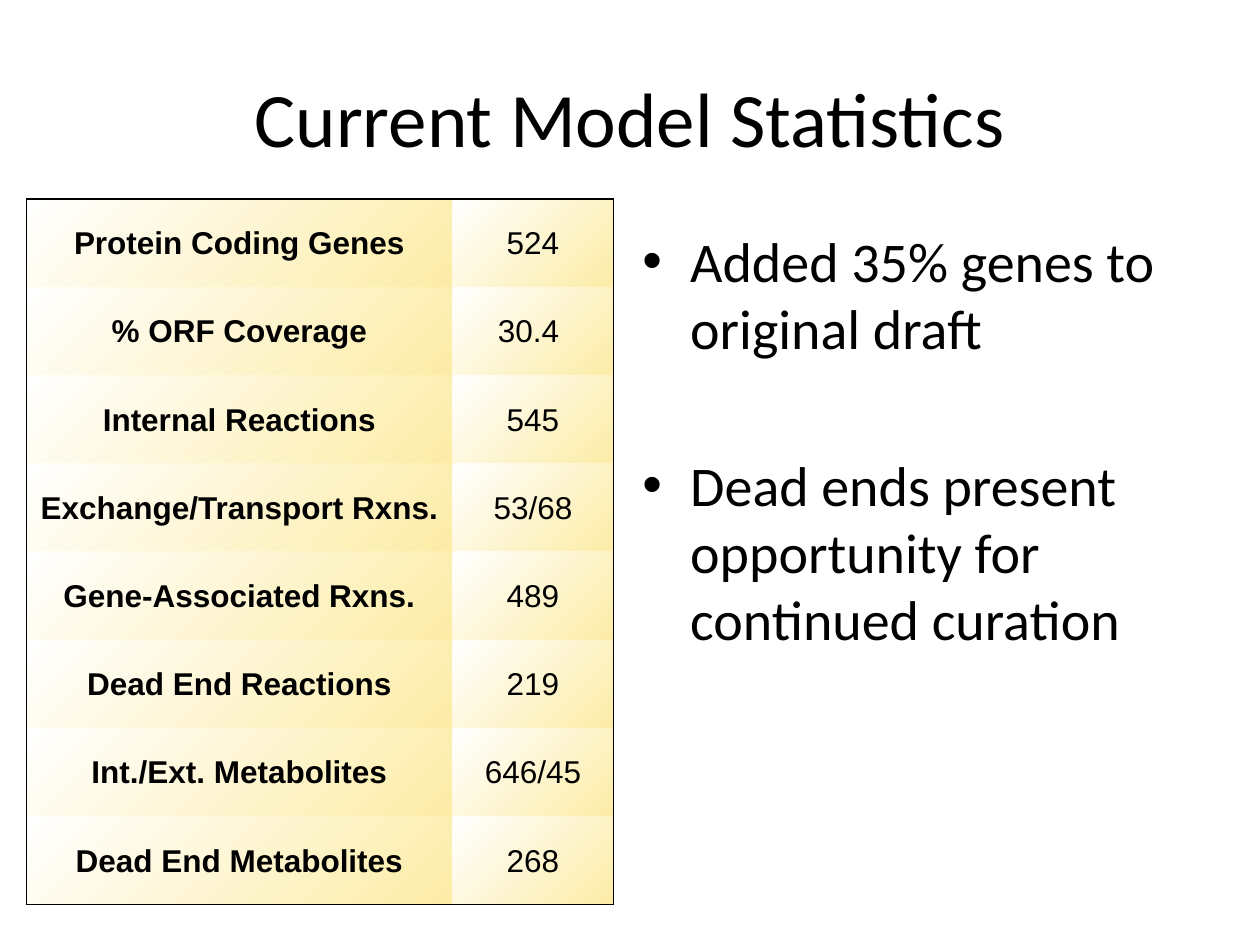
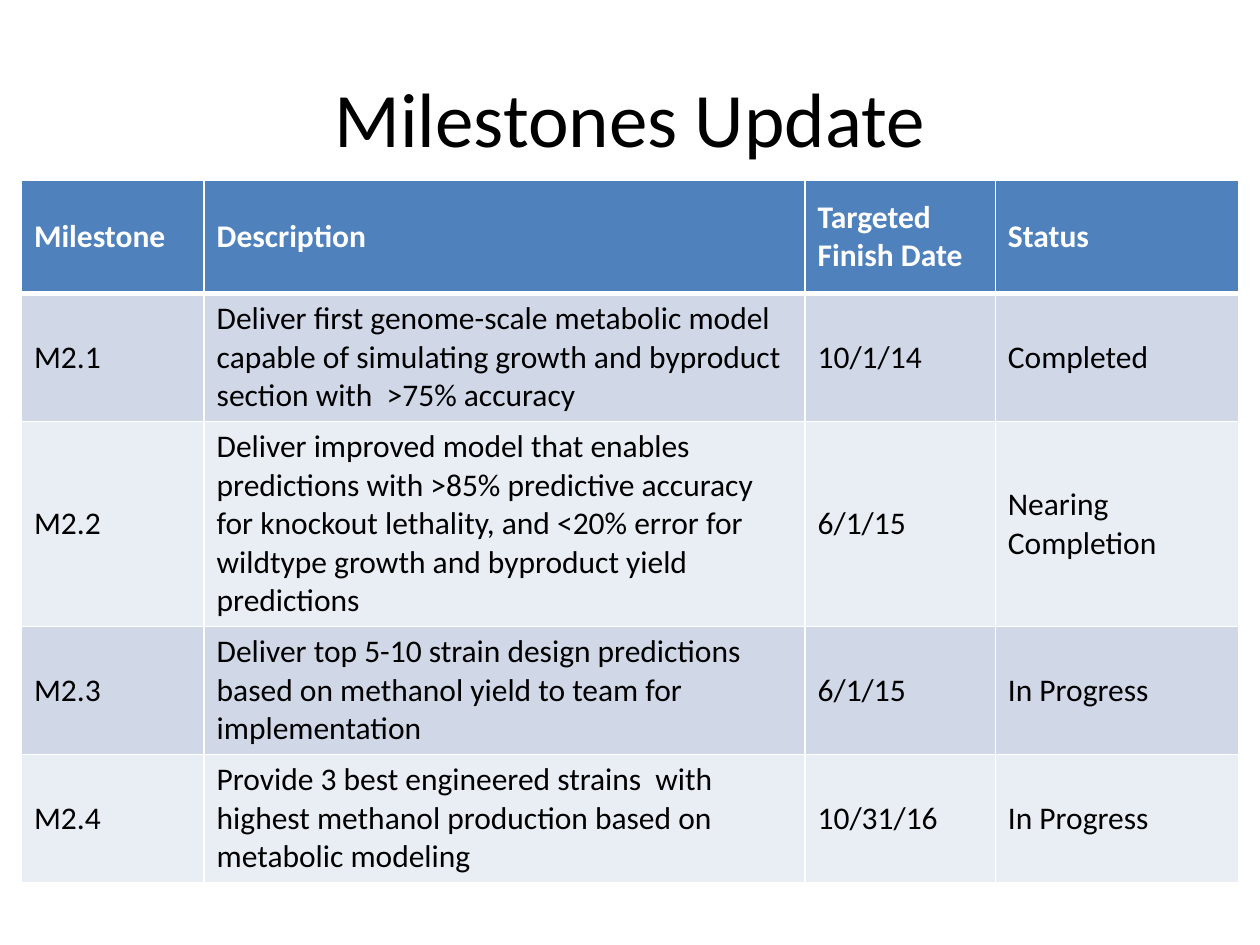
"""Build the model statistics and milestones slides."""
from dataclasses import dataclass, field
from typing import Optional

from pptx import Presentation
from pptx.dml.color import RGBColor
from pptx.enum import text as t
from pptx.oxml import parse_xml
from pptx.oxml.ns import nsdecls
from pptx.util import Inches, Pt


@dataclass(frozen=True)
class Theme:
    black: str = "000000"
    white: str = "FFFFFF"
    gold: str = "FCECA6"
    header: str = "4F81BD"
    bands: tuple = ("D0D8E8", "E9EDF4")
    body_font: str = "Calibri"
    table_font: str = "Arial"
    title_size: float = 44
    bullet_size: float = 32
    table_size: float = 18


@dataclass(frozen=True)
class Box:
    left: float
    top: float
    width: float
    height: float

    def inches(self) -> tuple:
        return tuple(Inches(v) for v in (self.left, self.top, self.width, self.height))


@dataclass(frozen=True)
class CellStyle:
    """Fill colour (None is the gold gradient), text format, margins and border points."""
    fill: Optional[str] = None
    text_format: dict = field(default_factory=dict)
    margins: Optional[tuple] = None
    line_color: str = "FFFFFF"
    borders: dict = field(default_factory=dict)


THEME = Theme()
TITLE_BOX = Box(0.5, 0.3, 9, 1.25)
BULLET_BOX = Box(5, 1.75, 4.5, 4.95)
STATISTICS_BOX = Box(0.21, 1.58, 4.66, 5.6)
MILESTONES_BOX = Box(0.17, 1.43, 9.66, 5.45)

STATISTICS = [
    ("Protein Coding Genes", "524"),
    ("% ORF Coverage", "30.4 "),
    ("Internal Reactions", "545"),
    ("Exchange/Transport Rxns.", "53/68"),
    ("Gene-Associated Rxns.", "489"),
    ("Dead End Reactions", "219"),
    ("Int./Ext. Metabolites", "646/45"),
    ("Dead End Metabolites", "268"),
]
BULLETS = [
    ("Added 35% genes to original draft", 0),
    ("Dead ends present opportunity for continued curation", 51),
]
MILESTONES = [
    ("Milestone", "Description", "Targeted Finish Date", "Status"),
    ("M2.1", "Deliver first genome-scale metabolic model capable of simulating growth "
     "and byproduct section with  >75% accuracy", "10/1/14", "Completed"),
    ("M2.2", "Deliver improved model that enables predictions with >85% predictive "
     "accuracy for knockout lethality, and <20% error for wildtype growth and "
     "byproduct yield predictions", "6/1/15", "Nearing Completion"),
    ("M2.3", "Deliver top 5-10 strain design predictions based on methanol yield to "
     "team for implementation", "6/1/15", "In Progress"),
    ("M2.4", "Provide 3 best engineered strains  with highest methanol production "
     "based on metabolic modeling", "10/31/16", "In Progress"),
]


def write_text(paragraph, text: str, *, size: float, font: str = THEME.body_font,
               color: str = THEME.black, bold: bool = False,
               align=t.PP_ALIGN.LEFT, space_before: float = 0) -> None:
    """Put one formatted run in a paragraph."""
    paragraph.alignment = align
    paragraph.space_before = Pt(space_before)
    run = paragraph.add_run()
    run.text = text
    run.font.name = font
    run.font.size = Pt(size)
    run.font.bold = bold
    run.font.color.rgb = RGBColor.from_string(color)


def add_bullet(paragraph, indent: float) -> None:
    """Give a paragraph a hanging round bullet."""
    properties = paragraph._p.get_or_add_pPr()
    properties.set("marL", str(Inches(indent)))
    properties.set("indent", str(-Inches(indent)))
    properties.append(parse_xml(f'<a:buFont {nsdecls("a")} typeface="Arial"/>'))
    properties.append(parse_xml(f'<a:buChar {nsdecls("a")} char="•"/>'))


def add_titled_slide(presentation, title: str):
    """Add a title-only slide with the shared title format."""
    slide = presentation.slides.add_slide(presentation.slide_layouts[5])
    shape = slide.shapes.title
    shape.left, shape.top, shape.width, shape.height = TITLE_BOX.inches()
    frame = shape.text_frame
    frame.word_wrap = True
    frame.vertical_anchor = t.MSO_ANCHOR.MIDDLE
    write_text(frame.paragraphs[0], title, size=THEME.title_size, align=t.PP_ALIGN.CENTER)
    return slide


def format_cell(cell, text: str, style: CellStyle) -> None:
    """Write a table cell with its margins, borders and fill."""
    cell.vertical_anchor = t.MSO_ANCHOR.MIDDLE
    if style.margins:
        cell.margin_left, cell.margin_top, cell.margin_right, cell.margin_bottom = (
            Inches(margin) for margin in style.margins)
    write_text(cell.text_frame.paragraphs[0], text, size=THEME.table_size, **style.text_format)
    properties = cell._tc.get_or_add_tcPr()
    for side in "LRTB":
        points = style.borders.get(side, 0)
        paint = (f'<a:solidFill><a:srgbClr val="{style.line_color}"/></a:solidFill>'
                 if points else "<a:noFill/>")
        properties.append(parse_xml(
            f'<a:ln{side} {nsdecls("a")} w="{Pt(points)}">{paint}</a:ln{side}>'))
    if style.fill:
        cell.fill.solid()
        cell.fill.fore_color.rgb = RGBColor.from_string(style.fill)
    else:
        properties.append(parse_xml(
            f'<a:gradFill {nsdecls("a")} rotWithShape="1"><a:gsLst>'
            f'<a:gs pos="0"><a:srgbClr val="{THEME.gold}"/></a:gs>'
            f'<a:gs pos="100000"><a:srgbClr val="{THEME.white}"/></a:gs></a:gsLst>'
            '<a:path path="circle"><a:fillToRect l="100000" t="100000"/></a:path>'
            '</a:gradFill>'))


def add_grid(slide, box: Box, rows: list, widths: list, heights: list, style_of) -> None:
    """Add a table whose cell styles come from style_of(row, column)."""
    table = slide.shapes.add_table(len(rows), len(widths), *box.inches()).table
    table.first_row = table.horz_banding = False
    for column, width in zip(table.columns, widths):
        column.width = Inches(width)
    for row, height in zip(table.rows, heights):
        row.height = Inches(height)
    for i, values in enumerate(rows):
        for j, value in enumerate(values):
            format_cell(table.cell(i, j), value, style_of(i, j))


def statistics_style(row: int, column: int) -> CellStyle:
    """Outline the whole table in black and embolden the labels."""
    borders = {"L" if column == 0 else "R": 1}
    if row == 0:
        borders["T"] = 1
    if row == len(STATISTICS) - 1:
        borders["B"] = 1
    return CellStyle(
        text_format=dict(font=THEME.table_font, bold=column == 0, align=t.PP_ALIGN.CENTER),
        margins=(0.01, 0.01, 0.01, 0), line_color=THEME.black, borders=borders)


def milestone_style(row: int, column: int) -> CellStyle:
    """Style the header row, then alternate the bands."""
    borders = dict.fromkeys("LRTB", 1)
    if row == 0:
        return CellStyle(THEME.header, dict(color=THEME.white, bold=True),
                         borders=borders | {"B": 3})
    if row == 1:
        borders["T"] = 3
    return CellStyle(THEME.bands[(row - 1) % 2], borders=borders)


def build_statistics(presentation) -> None:
    """Build the statistics table with its two remarks."""
    slide = add_titled_slide(presentation, "Current Model Statistics")
    frame = slide.shapes.add_textbox(*BULLET_BOX.inches()).text_frame
    frame.word_wrap = True
    for i, (text, space_before) in enumerate(BULLETS):
        paragraph = frame.add_paragraph() if i else frame.paragraphs[0]
        write_text(paragraph, text, size=THEME.bullet_size, space_before=space_before)
        add_bullet(paragraph, 0.38)
    add_grid(slide, STATISTICS_BOX, STATISTICS, [3.38, 1.28],
             [0.7] * len(STATISTICS), statistics_style)


def build_milestones(presentation) -> None:
    """Build the milestones table."""
    slide = add_titled_slide(presentation, "Milestones Update")
    add_grid(slide, MILESTONES_BOX, MILESTONES, [1.45, 4.77, 1.51, 1.93],
             [0.9, 0.99, 1.58, 0.99, 0.99], milestone_style)


def main() -> None:
    """Create and save the presentation."""
    presentation = Presentation()
    presentation.slide_width, presentation.slide_height = Inches(10), Inches(7.5)
    build_statistics(presentation)
    build_milestones(presentation)
    presentation.save("out.pptx")


if __name__ == "__main__":
    main()
